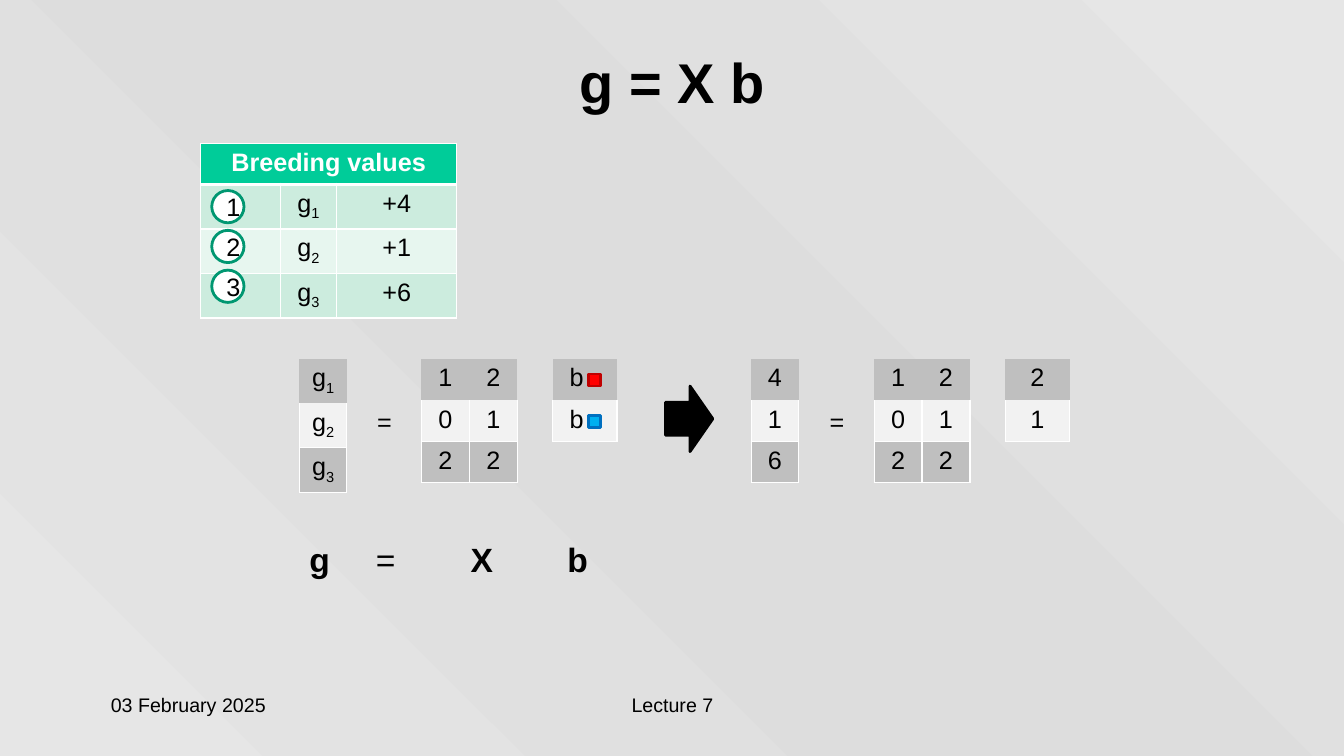
"""Build the slide that explains g = X b with small matrices."""
from copy import deepcopy

from lxml.etree import SubElement
from pptx import Presentation
from pptx.dml.color import RGBColor
from pptx.enum.shapes import MSO_SHAPE as SHAPE
from pptx.enum.text import MSO_ANCHOR as ANCHOR, PP_ALIGN as ALIGN
from pptx.oxml.ns import qn
from pptx.util import Inches, Pt

COLORS = {
    "black": "000000", "white": "FFFFFF", "header": "00CC99",
    "mint": "CCECDE", "pale": "E7F6EF", "ring": "009771",
    "grey": "BFBFBF", "light": "F2F2F2", "edge": "E6E6E6", "middle": "DDDDDD",
    "red": "FF0000", "dark red": "C00000", "blue": "00B0F0", "dark blue": "0070C0",
}
FONT = "Arial"
NO_STYLE = "{2D5ABB26-0587-4C30-8999-92F81FD0307C}"
ROW_H = 0.41
MATRIX_TOP = 3.56

TITLE = "g = X b"
FOOTERS = [("03 February 2025", 1, 2.78, ALIGN.LEFT), ("Lecture 7", 4.56, 4.22, ALIGN.CENTER)]
BREEDING = [["Breeding values", "", ""], ["", "g_1", "+4"], ["", "g_2", "+1"], ["", "g_3", "+6"]]
BREEDING_COLS = [0.79, 0.56, 1.19]
X = [["1", "2"], ["0", "1"], ["2", "2"]]
MATRICES = [
    (2.97, 0.47, [["g_1"], ["g_2"], ["g_3"]]),
    (4.18, 0.475, X),
    (5.48, 0.64, [["b"], ["b"]]),
    (7.45, 0.47, [["4"], ["1"], ["6"]]),
    (8.67, 0.475, X),
    (9.97, 0.64, [["2"], ["1"]]),
]
EQUALS_LEFT = [3.57, 8.06]
ALLELES = [("red", "dark red"), ("blue", "dark blue")]
EQUATION = [("g", True), ("\t=", False), ("\tX\tb", True)]
EQUATION_TABS = [0.66, 1.6, 2.56]


def rgb(name):
    return RGBColor.from_string(COLORS[name])


def write(tf, text, size=18, align=ALIGN.CENTER, color="black", bold=False, anchor=None):
    """Write a string, with _ before a subscript, or a list of (text, bold) runs."""
    p = tf.paragraphs[0]
    p.alignment = align
    if anchor is not None:
        tf.vertical_anchor = anchor
    main, _, sub = text.partition("_") if isinstance(text, str) else ("", "", "")
    runs = [(main, bold), (sub, bold)] if isinstance(text, str) else text
    for content, heavy in runs:
        if not content:
            continue
        r = p.add_run()
        r.text = content
        r.font.name, r.font.size, r.font.bold = FONT, Pt(size), heavy
        r.font.color.rgb = rgb(color)
        if content == sub:
            r._r.get_or_add_rPr().set("baseline", "-25000")
    return p


def add_label(s, text, left, top, width, height, indent=0.1, **fmt):
    tf = s.shapes.add_textbox(*map(Inches, (left, top, width, height))).text_frame
    tf.word_wrap = True
    tf.margin_left = Inches(indent)
    return write(tf, text, **fmt)


def add_figure(s, kind, left, top, width, height, fill, line):
    sp = s.shapes.add_shape(kind, *map(Inches, (left, top, width, height)))
    sp.shadow.inherit = False
    sp.fill.solid()
    sp.fill.fore_color.rgb = rgb(fill)
    sp.line.color.rgb = rgb(line)
    sp.line.width = Pt(2)
    return sp


def style_cell(cell, fill, borders):
    """Draw white borders, given as side: points, then fill the cell."""
    tc_pr = cell._tc.get_or_add_tcPr()
    for side in "LRTB":
        width = borders.get(side)
        ln = SubElement(tc_pr, qn(f"a:ln{side}"), w=str(Pt(width or 0)))
        if width:
            solid = SubElement(ln, qn("a:solidFill"))
            SubElement(solid, qn("a:srgbClr"), val=COLORS["white"])
        else:
            SubElement(ln, qn("a:noFill"))
    cell.fill.solid()
    cell.fill.fore_color.rgb = rgb(fill)


def add_grid(s, left, top, widths, n_rows):
    frame = s.shapes.add_table(n_rows, len(widths), Inches(left), Inches(top),
                               Inches(sum(widths)), Inches(ROW_H * n_rows))
    table = frame.table
    table.first_row = table.horz_banding = False
    table._tbl.tblPr.find(qn("a:tableStyleId")).text = NO_STYLE
    for col, width in zip(table.columns, widths):
        col.width = Inches(width)
    for row in table.rows:
        row.height = Inches(ROW_H)
    return table


def add_breeding_values(s):
    table = add_grid(s, 1.99, 1.42, BREEDING_COLS, len(BREEDING))
    table.cell(0, 0).merge(table.cell(0, 2))
    for i, row in enumerate(BREEDING):
        head = i == 0
        fill = "header" if head else ("pale", "mint")[i % 2]
        borders = {"L": 1, "R": 1, "T": 3 if i == 1 else 1, "B": 3 if head else 1}
        for j, text in enumerate(row):
            cell = table.cell(i, j)
            style_cell(cell, fill, borders)
            write(cell.text_frame, text, color="white" if head else "black", bold=head)
    for i in range(3):
        ring = add_figure(s, SHAPE.OVAL, 2.1, 1.89 + 0.395 * i, 0.32, 0.32, "white", "ring")
        write(ring.text_frame, str(i + 1), anchor=ANCHOR.MIDDLE)


def add_matrix(s, left, col_w, values):
    borders = [{}, {"L": 1, "R": 1, "B": 1}, dict.fromkeys("LRTB", 1)]
    table = add_grid(s, left, MATRIX_TOP, [col_w] * len(values[0]), len(values))
    for i, row in enumerate(values):
        for j, text in enumerate(row):
            cell = table.cell(i, j)
            style_cell(cell, ("grey", "light")[i % 2], borders[i])
            if text == "b":
                cell.margin_left = Inches(0.17)
            write(cell.text_frame, text, align=ALIGN.LEFT if text == "b" else ALIGN.CENTER)


def set_background(s):
    fill = s.background.fill
    fill.gradient()
    fill.gradient_angle = 45
    stops = s.element.find(".//" + qn("a:gsLst"))
    stops.append(deepcopy(stops[-1]))
    for stop, (pos, name) in zip(fill.gradient_stops, [(0, "edge"), (0.5, "middle"), (1, "edge")]):
        stop.position = pos
        stop.color.rgb = rgb(name)


def main():
    prs = Presentation()
    prs.slide_width, prs.slide_height = Inches(13.33), Inches(7.5)
    s = prs.slides.add_slide(prs.slide_layouts[5])
    set_background(s)

    title = s.shapes.title
    title.left, title.top, title.width, title.height = map(Inches, (0.26, 0.3, 12.81, 1.01))
    write(title.text_frame, TITLE, size=40, bold=True, anchor=ANCHOR.MIDDLE)
    for text, left, width, align in FOOTERS:
        add_label(s, text, left, 6.83, width, 0.5, size=14, align=align)

    add_breeding_values(s)
    for matrix in MATRICES:
        add_matrix(s, *matrix)
    for left in EQUALS_LEFT:
        add_label(s, "=", left, 3.98, 0.53, 0.4, indent=0.17, align=ALIGN.LEFT)
    for i, (fill, line) in enumerate(ALLELES):
        add_figure(s, SHAPE.RECTANGLE, 5.84, 3.71 + ROW_H * i, 0.12, 0.12, fill, line)
    arrow = add_figure(s, SHAPE.RIGHT_ARROW, 6.6, 3.83, 0.47, 0.65, "black", "black")
    arrow.adjustments[1] = 0.48

    p = add_label(s, EQUATION, 2.97, 5.3, 3.78, 0.51, size=24, align=ALIGN.LEFT)
    tabs = SubElement(p._p.get_or_add_pPr(), qn("a:tabLst"))
    for pos in EQUATION_TABS:
        SubElement(tabs, qn("a:tab"), pos=str(Inches(pos)), algn="l")

    prs.save("out.pptx")


if __name__ == "__main__":
    main()
